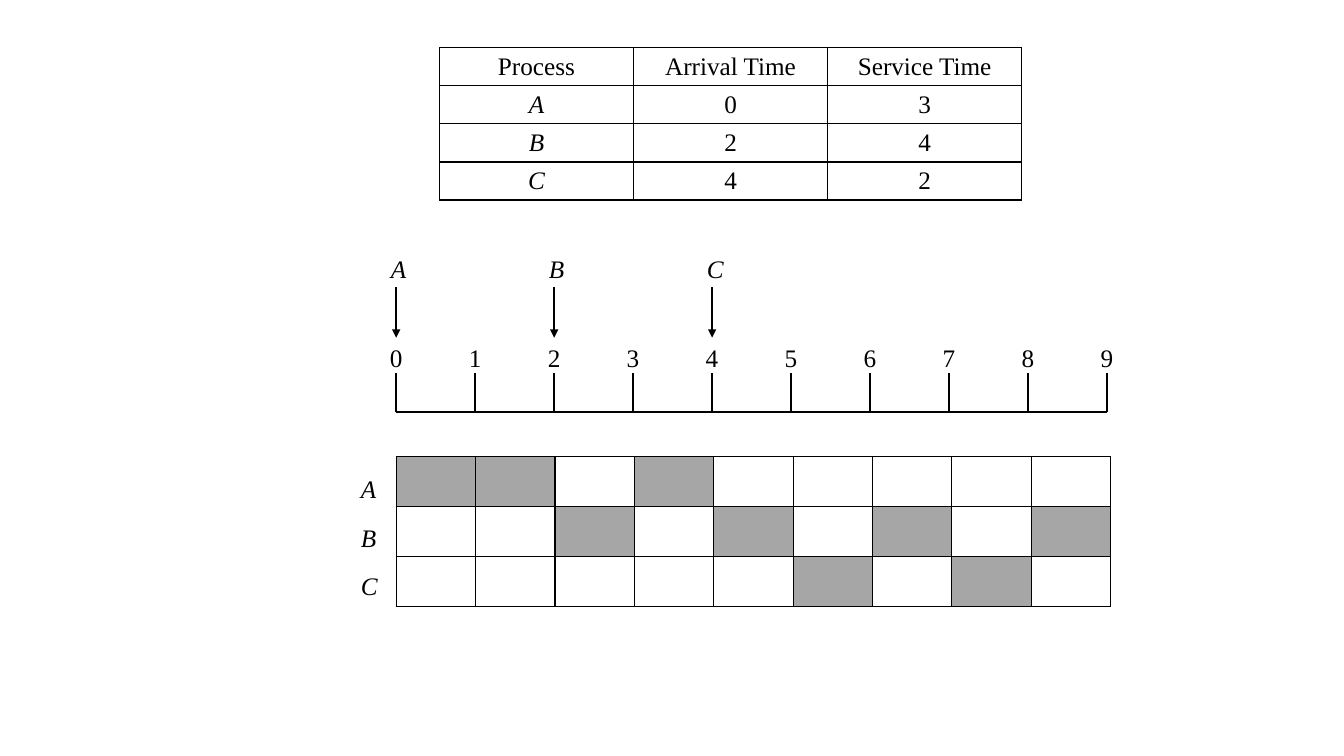
from lxml import etree
from pptx import Presentation
from pptx import util as u
from pptx.dml.color import RGBColor
from pptx.enum import shapes, text
from pptx.oxml import parse_xml
from pptx.oxml.ns import nsdecls, qn

BLACK, BUSY = "000000", "A6A6A6"

deck = Presentation()
deck.slide_width, deck.slide_height = u.Inches(13.33), u.Inches(7.5)
slide = deck.slides.add_slide(deck.slide_layouts[6])


def write(frame, wording, italic=False, align=text.PP_ALIGN.LEFT, wrap=True, grow=True):
    frame.word_wrap = wrap
    if grow:
        frame.auto_size = text.MSO_AUTO_SIZE.SHAPE_TO_FIT_TEXT
    paragraph = frame.paragraphs[0]
    paragraph.alignment = align
    run = paragraph.add_run()
    run.text = wording
    run.font.name, run.font.size, run.font.italic = "Times New Roman", u.Pt(18), italic
    run.font.bold = False
    run.font.color.rgb = RGBColor.from_string(BLACK)


def draw_line(x1, y1, x2, y2, arrow=False):
    line = slide.shapes.add_connector(
        shapes.MSO_CONNECTOR.STRAIGHT, u.Cm(x1), u.Cm(y1), u.Cm(x2), u.Cm(y2))
    line.line.color.rgb = RGBColor.from_string(BLACK)
    line.line.width = u.Pt(1.5)
    if arrow:
        etree.SubElement(line.line._get_or_add_ln(), qn("a:tailEnd"), type="triangle")
    etree.SubElement(line._element.spPr, qn("a:effectLst"))


processes = [("A", 0, 3), ("B", 2, 4), ("C", 4, 2)]
running = "AABABCBCB"
axis_left, tick_gap = 9.98, 1.99
ticks = [axis_left + tick_gap * time for time in range(len(running) + 1)]

arrivals = slide.shapes.add_table(
    4, 3, u.Cm(11.07), u.Cm(1.2), u.Cm(14.67), u.Cm(3.84)).table
schedule = slide.shapes.add_table(
    3, len(running), u.Cm(axis_left), u.Cm(11.51), u.Cm(18), u.Cm(3.78)).table

for grid in (arrivals, schedule):
    grid.first_row = grid.horz_banding = False
    for cell in grid.iter_cells():
        cell.margin_top = cell.margin_bottom = 0
        cell.vertical_anchor = text.MSO_ANCHOR.MIDDLE
        for side in "LRTB":
            cell._tc.get_or_add_tcPr().append(parse_xml(
                f'<a:ln{side} {nsdecls("a")} w="12700"><a:solidFill>'
                f'<a:srgbClr val="{BLACK}"/></a:solidFill></a:ln{side}>'))
        cell.fill.background()

for row, entries in enumerate([("Process", "Arrival Time", "Service Time"), *processes]):
    for column, entry in enumerate(entries):
        write(arrivals.cell(row, column).text_frame, str(entry), grow=False,
              italic=row > 0 and column == 0, align=text.PP_ALIGN.CENTER)

for time, process in enumerate(running):
    slot = schedule.cell("ABC".index(process), time)
    slot.fill.solid()
    slot.fill.fore_color.rgb = RGBColor.from_string(BUSY)

draw_line(axis_left, 10.39, ticks[-1], 10.39)
for time, x in enumerate(ticks):
    draw_line(x, 9.4, x, 10.39)
    tick_label = slide.shapes.add_textbox(u.Cm(x - 0.41), u.Cm(8.51), u.Cm(1.22), u.Cm(1.02))
    write(tick_label.text_frame, str(time))

for row, (process, arrival, service) in enumerate(processes):
    x = ticks[arrival]
    draw_line(x, 7.24, x, 8.51, arrow=True)
    arrival_label = slide.shapes.add_textbox(u.Cm(x - 0.38), u.Cm(6.25), u.Cm(0.92), u.Cm(1.02))
    write(arrival_label.text_frame, process, italic=True, wrap=False)
    row_label = slide.shapes.add_textbox(
        u.Cm(8.84), u.Cm(11.81 + 1.22 * row), u.Cm(1.47), u.Cm(1.04))
    write(row_label.text_frame, process, italic=True)

deck.save("out.pptx")
